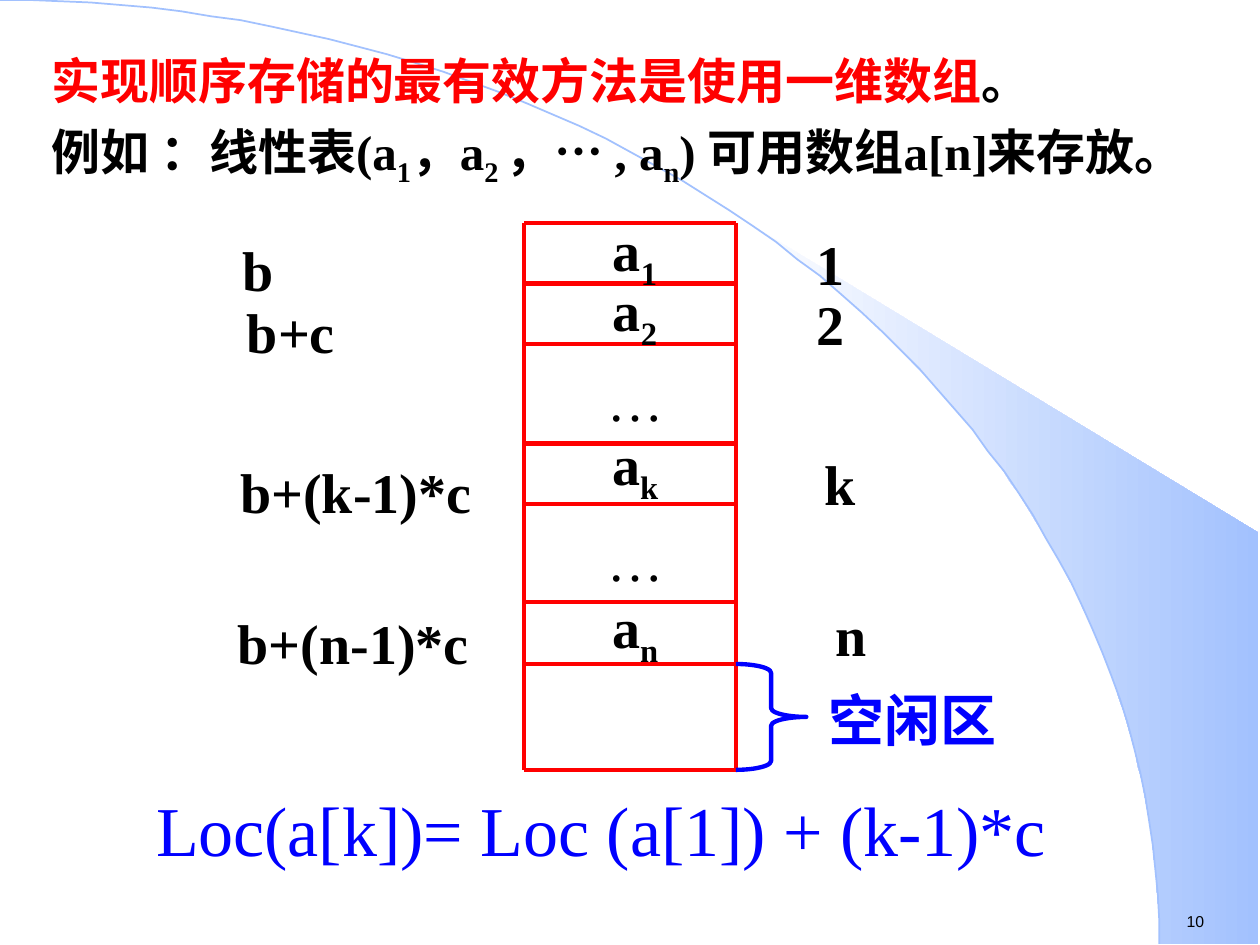
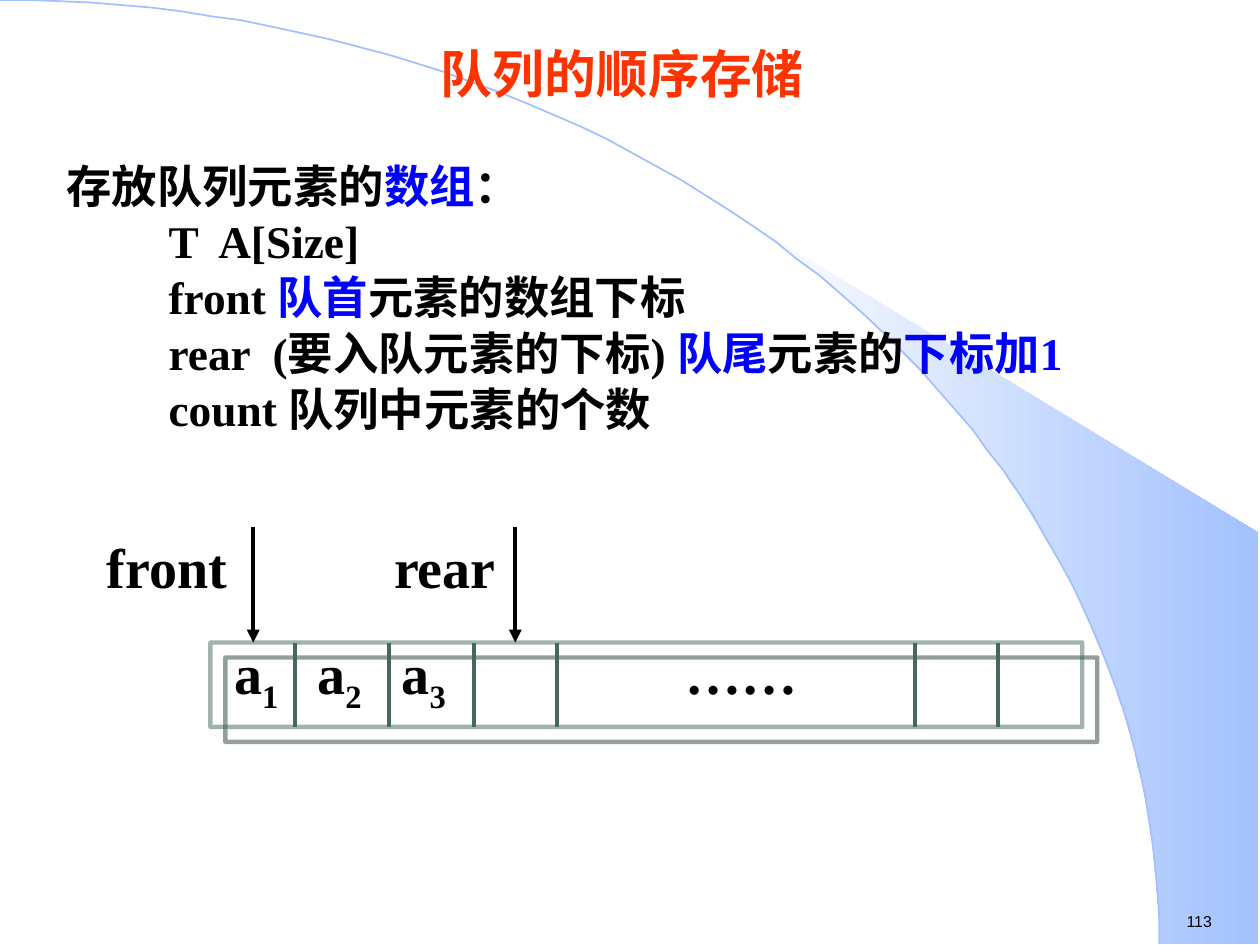
"""Build two slides on sequential storage: linear list and queue."""
from math import asin, cos, pi, sin

from lxml.etree import SubElement
from pptx import Presentation
from pptx.dml.color import RGBColor
from pptx.enum.shapes import MSO_CONNECTOR as Link, MSO_SHAPE as Shape
from pptx.enum.text import PP_ALIGN as Align
from pptx.oxml.ns import qn
from pptx.util import Emu, Pt

SCALE = 9144
WIDTH, HEIGHT = 1000, 750
BLACK, RED, BLUE, ORANGE = "000000", "FF0000", "0000FF", "FF3300"
SKY, WHITE, TEAL, SHADE = "A2C1FE", "FFFFFF", "466861", "2A3E3A"

ARC_WIDTH, ARC_HEIGHT, WEDGE_LEFT = 920, 749, 589
WEDGE_EDGE = [(999, 749), (999, 423)]
NUMBER_BOX = (932, 719, 77, 25)

LABEL = {"size": 32, "bold": True}
PLAIN = {"size": 32}
INTRO = {"size": 28, "bold": True}
BODY = {"size": 25.9, "bold": True}
NUMBER = {"size": 9, "name": "Arial"}
FORMULA = {"size": 40, "color": BLUE}
FREE = {**LABEL, "color": BLUE}
HEADING = {"size": 29.6, "color": ORANGE}
SUB = {"baseline": -25}
KEY = {"color": BLUE}
CENTER = {"alignment": Align.CENTER}

INTRO_BOX = (31, 35, 908, 166)
INTRO_TEXT = [
    ([("实现顺序存储的最有效方法是使用一维数组", {"color": RED}), "。"], {}),
    (["例如 ：线性表(a", ("1", SUB), "，a", ("2 ", SUB), "，… , a", ("n", SUB),
      ") 可用数组a[n]来存放。"], {"space_before": Pt(7)}),
]
ARRAY_LEFT, ARRAY_RIGHT = 416, 584
ROW_EDGES = [177, 225, 273, 352, 400, 478, 527, 611]
CELLS = [("1", 166), ("2", 214), ("", 285), ("k", 336), ("", 412), ("n", 465)]
CELL_LEFT, CELL_WIDTH = 448, 112
ROW_LABELS = [
    ("b", 161, 182, 88), ("b+c", 181, 231, 100),
    ("b+(k-1)*c", 179, 358, 207), ("b+(n-1)*c", 161, 478, 239),
    ("1", 615, 177, 88), ("2", 615, 225, 88),
    ("k", 623, 352, 88), ("n", 632, 472, 87),
]
BRACE_WIDTH = 56
FREE_BOX = (648, 539, 183, 64)
FORMULA_BOX = (114, 627, 780, 70)

QUEUE_BOX = (43, 28, 902, 366)
QUEUE_TITLE = "队列的顺序存储"
QUEUE_LEAD = ["存放队列元素的", ("数组", KEY), "："]
QUEUE_FIELDS = [
    ["T  A[Size]"],
    ["front ", ("队首", KEY), "元素的数组下标"],
    ["rear  (要入队元素的下标) ", ("队尾", KEY), "元素的", ("下标加1", KEY)],
    ["count 队列中元素的个数"],
]
FIELD_INDENT = 81
STRIP = (167, 510, 692, 67)
DIVIDERS = [234, 309, 376, 442, 726, 792]
ITEMS = [("1", 176), ("2", 242), ("3", 309)]
ITEM_TOP, ITEM_WIDTH = 502, 83
ELLIPSIS_BOX = (534, 502, 125, 64)
POINTERS = [("front", 75, 118, 201), ("rear", 303, 114, 409)]
POINTER_TOP = 418


def px(*lengths):
    return [Emu(round(length * SCALE)) for length in lengths]


def rgb(code):
    return RGBColor.from_string(code)


def set_all(target, values):
    for name, value in values.items():
        setattr(target, name, value)


def add_span(para, text, look):
    span = para.add_run()
    span.text = text
    look = {"name": "Times New Roman", "color": BLACK, **look}
    span.font.color.rgb = rgb(look.pop("color"))
    if "baseline" in look:
        span.font._element.set("baseline", str(look.pop("baseline") * 1000))
    set_all(span.font, {**look, "size": Pt(look["size"])})


def add_text(page, place, paras, look):
    frame = page.shapes.add_textbox(*px(*place)).text_frame
    frame.word_wrap = True
    for index, (spans, layout) in enumerate(paras):
        para = frame.add_paragraph() if index else frame.paragraphs[0]
        layout = dict(layout)
        if "indent" in layout:
            margin = px(layout.pop("indent"))[0]
            para._p.get_or_add_pPr().set("marL", str(margin))
        set_all(para, layout)
        for span in spans:
            text, extra = (span, {}) if isinstance(span, str) else span
            add_span(para, text, {**look, **extra})


def set_line(shape, color, width):
    shape.line.color.rgb = rgb(color)
    shape.line.width = Pt(width)


def add_line(page, start, end, color, width=2.5, arrow=False):
    line = page.shapes.add_connector(Link.STRAIGHT, *px(*start, *end))
    set_line(line, color, width)
    if arrow:
        SubElement(line.line._get_or_add_ln(), qn("a:tailEnd"), type="triangle")
    SubElement(line._element.spPr, qn("a:effectLst"))


def arc_points(start, steps=60):
    angles = [start + (pi / 2 - start) * step / steps for step in range(steps + 1)]
    return [(ARC_WIDTH * sin(angle), ARC_HEIGHT * (1 - cos(angle))) for angle in angles]


def add_outline(page, points, close):
    builder = page.shapes.build_freeform(*points[0], scale=SCALE)
    builder.add_line_segments(points[1:], close=close)
    shape = builder.convert_to_shape()
    shape.shadow.inherit = False
    return shape


def add_page(deck, number):
    page = deck.slides.add_slide(deck.slide_layouts[6])
    wedge_start = asin(WEDGE_LEFT / ARC_WIDTH)
    wedge = add_outline(page, arc_points(wedge_start) + WEDGE_EDGE, True)
    wedge.fill.gradient()
    wedge.fill.gradient_angle = 0
    for stop, color in zip(wedge.fill.gradient_stops, (WHITE, SKY)):
        stop.color.rgb = rgb(color)
    wedge.line.fill.background()
    arc = add_outline(page, arc_points(0), False)
    arc.fill.background()
    set_line(arc, SKY, 1)
    add_text(page, NUMBER_BOX, [([number], {})], NUMBER)
    return page


def build_list_page(deck):
    page = add_page(deck, "10")
    add_text(page, INTRO_BOX, INTRO_TEXT, INTRO)
    for y in ROW_EDGES:
        add_line(page, (ARRAY_LEFT, y), (ARRAY_RIGHT, y), RED)
    for x in (ARRAY_LEFT, ARRAY_RIGHT):
        add_line(page, (x, ROW_EDGES[0]), (x, ROW_EDGES[-1]), RED)
    for index, top in CELLS:
        spans, look = (["a", (index, SUB)], LABEL) if index else (["…"], PLAIN)
        add_text(page, (CELL_LEFT, top, CELL_WIDTH, 64), [(spans, CENTER)], look)
    for text, left, top, width in ROW_LABELS:
        add_text(page, (left, top, width, 64), [([text], CENTER)], LABEL)
    top, bottom = ROW_EDGES[-2:]
    brace = page.shapes.add_shape(
        Shape.RIGHT_BRACE, *px(ARRAY_RIGHT, top, BRACE_WIDTH, bottom - top))
    brace.adjustments[0] = 0.125
    brace.shadow.inherit = False
    brace.fill.background()
    set_line(brace, BLUE, 2.5)
    add_text(page, FREE_BOX, [(["空闲区"], {})], FREE)
    add_text(page, FORMULA_BOX,
             [(["Loc(a[k])= Loc (a[1]) + (k-1)*c"], {"line_spacing": 0.9})], FORMULA)


def add_strip(page):
    strip = page.shapes.add_shape(Shape.RECTANGLE, *px(*STRIP))
    strip.shadow.inherit = False
    strip.fill.background()
    set_line(strip, TEAL, 2.5)
    tint = strip.line._get_or_add_ln().find(".//" + qn("a:srgbClr"))
    SubElement(tint, qn("a:alpha"), val="50000")
    effects = strip._element.spPr.find(qn("a:effectLst"))
    shadow = SubElement(effects, qn("a:outerShdw"), dist=str(Pt(12.1)),
                        dir="2700000", algn="ctr", rotWithShape="0")
    SubElement(shadow, qn("a:srgbClr"), val=SHADE)


def build_queue_page(deck):
    page = add_page(deck, "113")
    tight = {"line_spacing": 0.8}
    field = {**tight, "space_before": Pt(7), "indent": FIELD_INDENT}
    paras = [([(QUEUE_TITLE, HEADING)], {**CENTER, "space_after": Pt(16)}),
             (QUEUE_LEAD, {**tight, "space_before": Pt(21)})]
    paras += [(spans, field) for spans in QUEUE_FIELDS]
    add_text(page, QUEUE_BOX, paras, BODY)
    add_strip(page)
    top, bottom = STRIP[1], STRIP[1] + STRIP[3]
    for x in DIVIDERS:
        add_line(page, (x, top), (x, bottom), TEAL, 2.25)
    add_text(page, ELLIPSIS_BOX, [(["……"], {})], LABEL)
    for index, left in ITEMS:
        add_text(page, (left, ITEM_TOP, ITEM_WIDTH, 71),
                 [(["a", (index, SUB)], {})], LABEL)
    for text, left, width, x in POINTERS:
        add_text(page, (left, POINTER_TOP, width, 64), [([text], {})], LABEL)
        add_line(page, (x, POINTER_TOP), (x, top), BLACK, arrow=True)


def main():
    deck = Presentation()
    deck.slide_width, deck.slide_height = px(WIDTH, HEIGHT)
    build_list_page(deck)
    build_queue_page(deck)
    deck.save("out.pptx")


if __name__ == "__main__":
    main()
